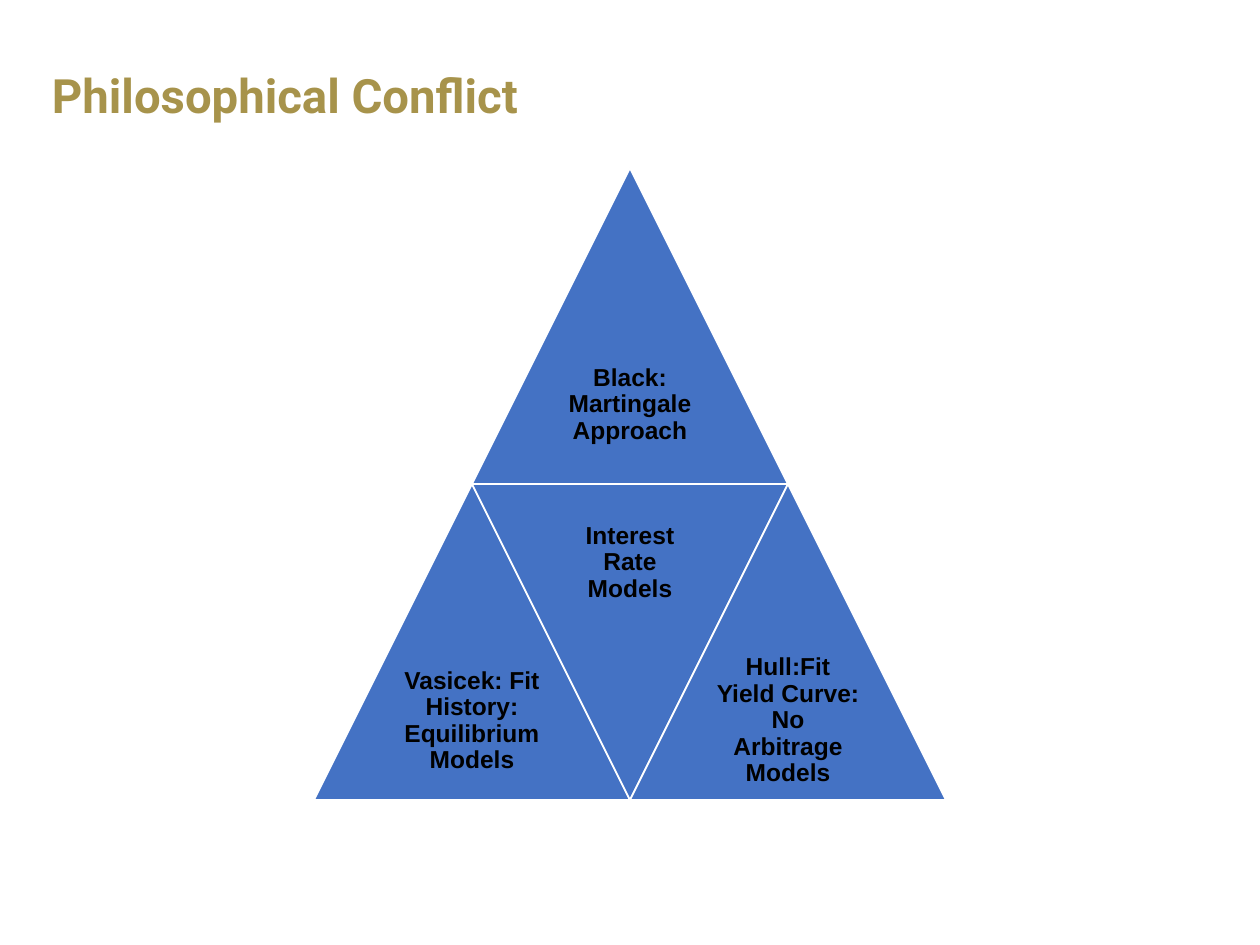
from pptx import Presentation
from pptx.dml.color import RGBColor as RGB
from pptx.enum.shapes import MSO_SHAPE as Shape
from pptx.enum.text import MSO_ANCHOR as Anchor, MSO_AUTO_SIZE as Auto, PP_ALIGN as Align
from pptx.util import Emu, Pt

BLUE = RGB(0x44, 0x72, 0xC4)
WHITE = RGB(0xFF, 0xFF, 0xFF)
BLACK = RGB(0, 0, 0)
GOLD = RGB(0xA7, 0x93, 0x4B)
SIDE = 316
HALF = SIDE // 2
LEFT, TOP = 314, 168


def px(n):
    return Emu(round(n * 914400 / 126))


def write(frame, text, font="Arial", size=14, color=BLACK, align=Align.CENTER, pad=7):
    frame.word_wrap = True
    frame.auto_size = Auto.NONE
    frame.vertical_anchor = Anchor.MIDDLE
    frame.margin_left = frame.margin_right = px(pad)
    frame.margin_top = frame.margin_bottom = px(7)
    para = frame.paragraphs[0]
    para.alignment = align
    para.line_spacing = 0.9
    run = para.add_run()
    run.text = text
    run.font.name = font
    run.font.size = Pt(size)
    run.font.bold = True
    run.font.color.rgb = color


def title(slide, text):
    head = slide.shapes.title
    head.left, head.top, head.width, head.height = map(px, (39, 28, 1182, 140))
    write(head.text_frame, text, font="Roboto", size=27, color=GOLD,
          align=Align.LEFT, pad=13)


def panel(slide, col, row, text, flip=False):
    x, y = LEFT + col * HALF, TOP + row * SIDE
    tri = slide.shapes.add_shape(Shape.ISOSCELES_TRIANGLE, px(x), px(y), px(SIDE), px(SIDE))
    tri.shadow.inherit = False
    tri.rotation = 180 if flip else 0
    tri.fill.solid()
    tri.fill.fore_color.rgb = BLUE
    tri.line.color.rgb = WHITE
    tri.line.width = Pt(1)
    drop = 0 if flip else HALF
    box = slide.shapes.add_textbox(px(x + HALF // 2), px(y + drop), px(HALF), px(HALF))
    write(box.text_frame, text)


def main():
    deck = Presentation()
    deck.slide_width, deck.slide_height = px(1260), px(945)
    slide = deck.slides.add_slide(deck.slide_layouts[5])
    title(slide, "Philosophical Conflict")
    panel(slide, 1, 0, "Black: Martingale Approach")
    panel(slide, 0, 1, "Vasicek: Fit History: Equilibrium Models")
    panel(slide, 1, 1, "Interest Rate Models", flip=True)
    panel(slide, 2, 1, "Hull:Fit Yield Curve: No Arbitrage Models")
    deck.save("out.pptx")


if __name__ == "__main__":
    main()
